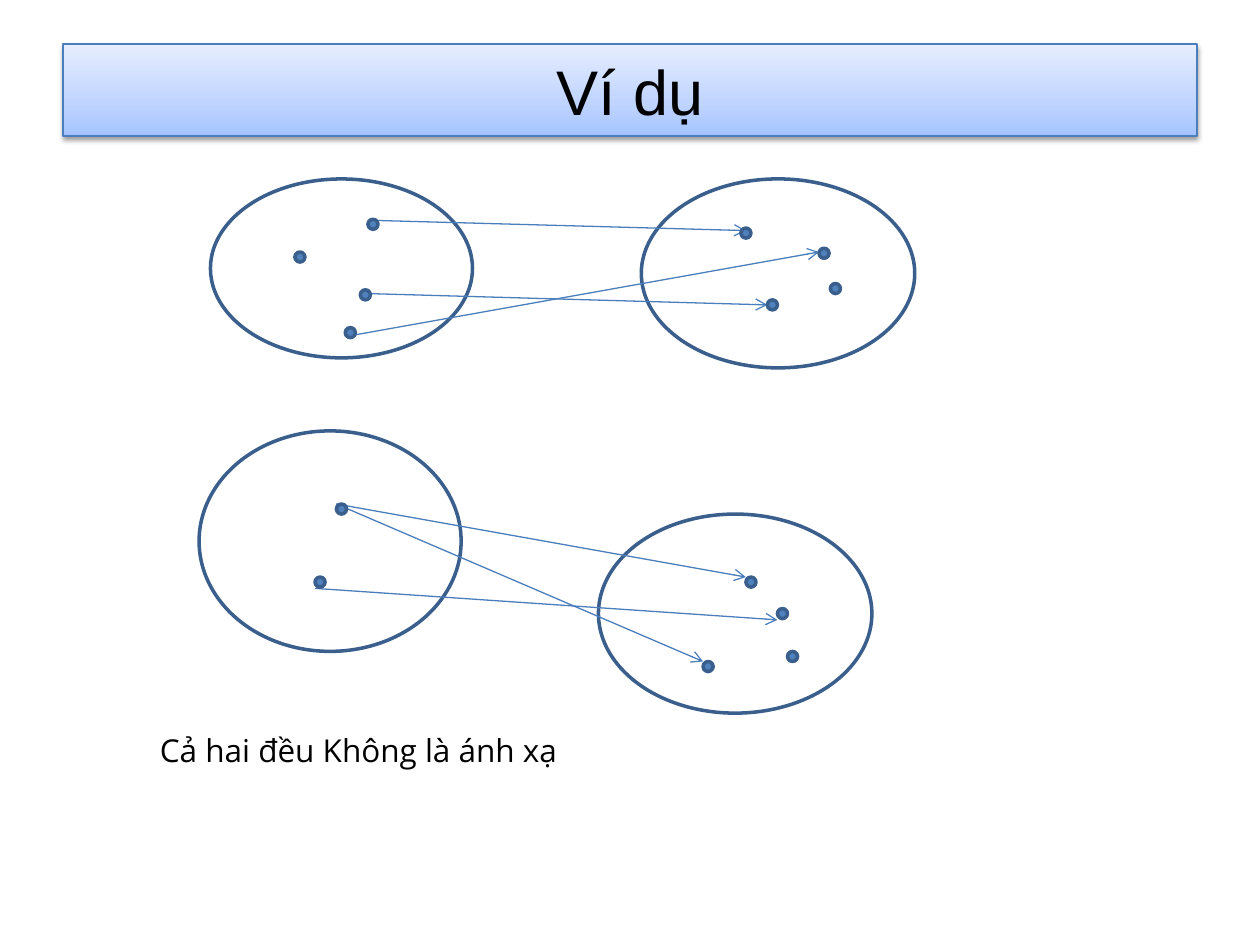
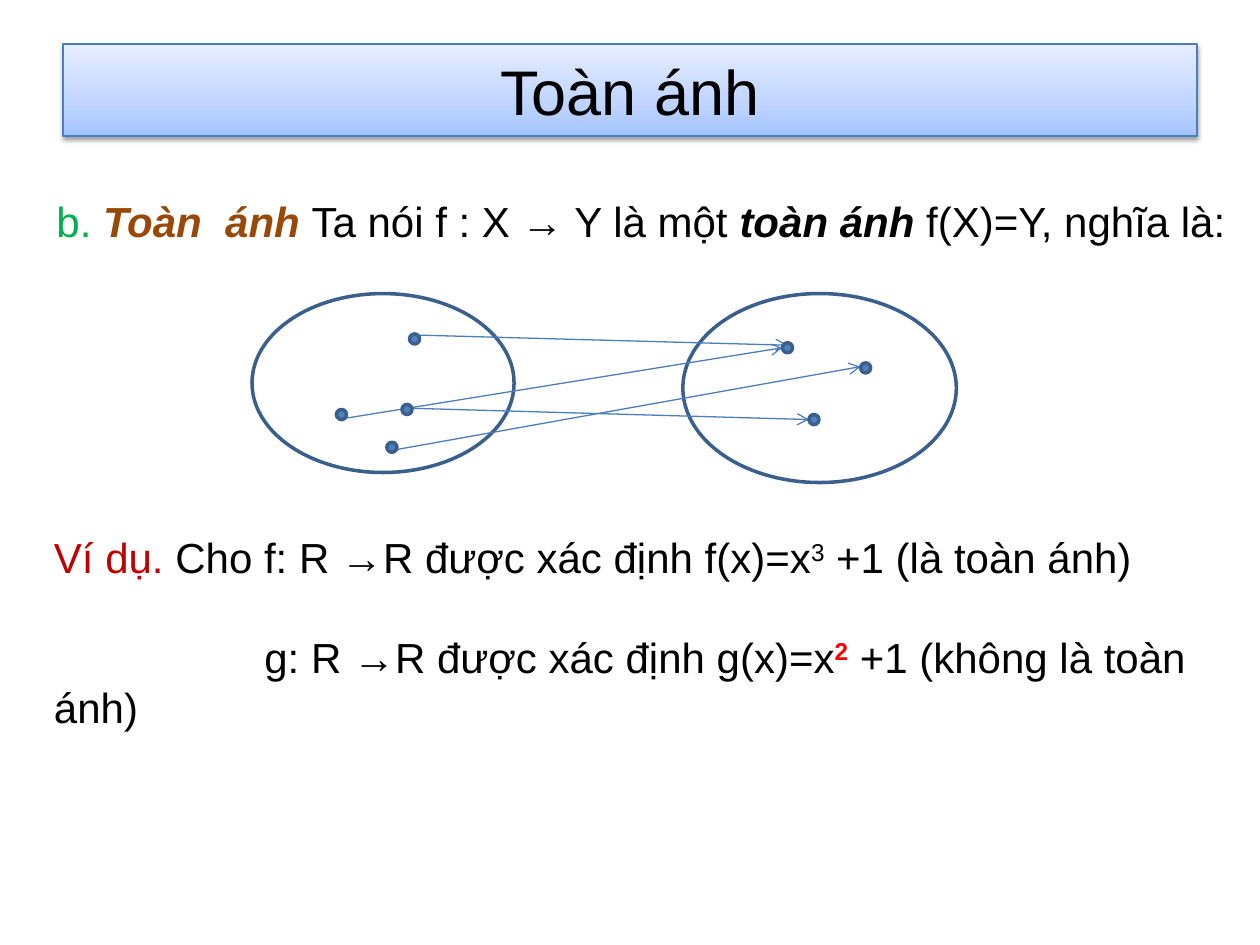
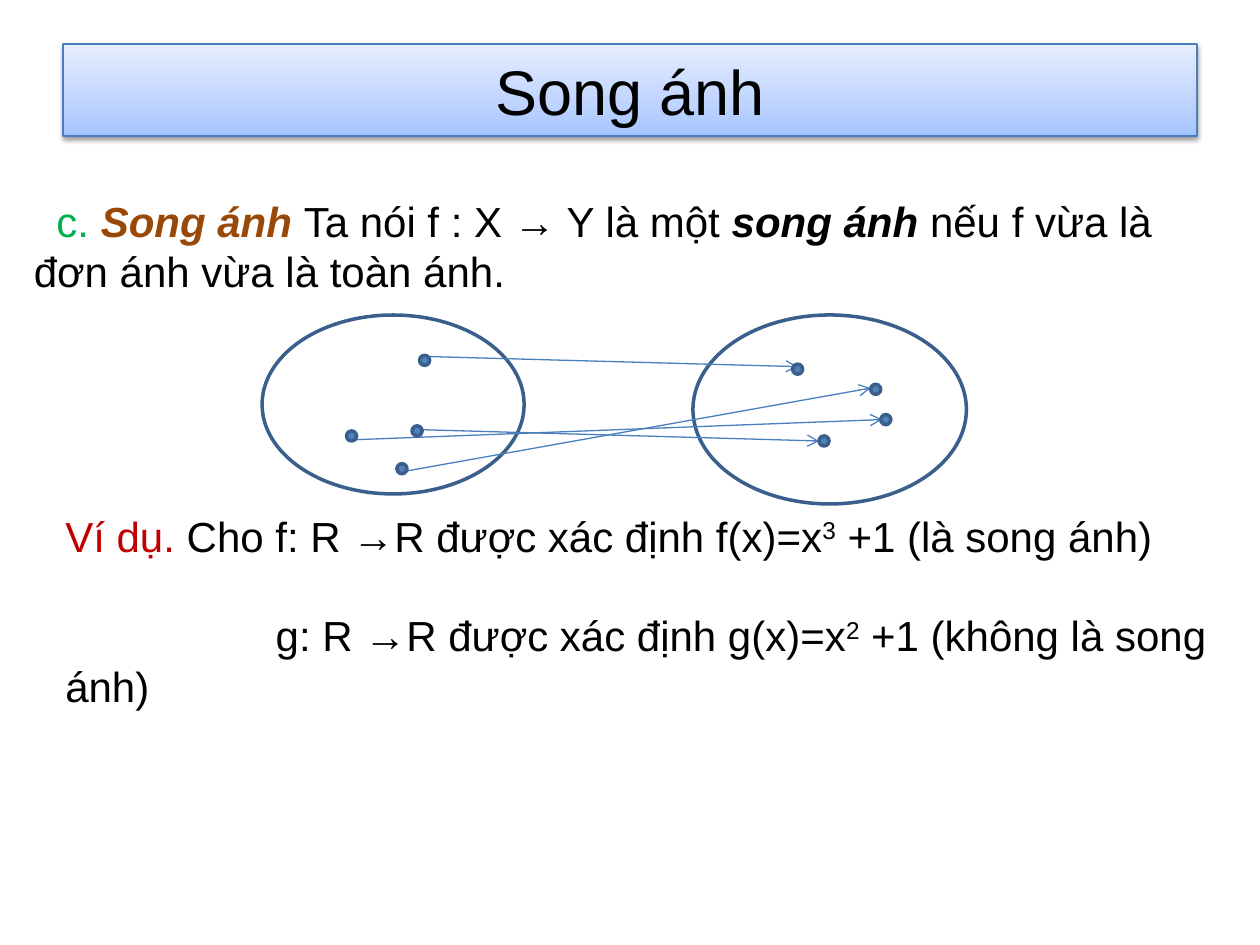
"""Build three slides on maps between sets, with arrow diagrams and worked examples."""
from dataclasses import dataclass
from typing import NamedTuple, Optional

from pptx import Presentation
from pptx.dml.color import RGBColor as RGB
from pptx.enum.shapes import MSO_CONNECTOR as LINK, MSO_SHAPE as SHAPE
from pptx.enum.text import MSO_ANCHOR as ANCHOR, MSO_AUTO_SIZE as AUTO, PP_ALIGN as ALIGN
from pptx.oxml import parse_xml
from pptx.oxml.ns import nsdecls, qn
from pptx.util import Inches, Pt


@dataclass(frozen=True)
class Theme:
    font: str = "Arial"
    plain: str = "Open Sans"
    title: int = 36
    body: int = 24
    note: int = 18
    black: str = "000000"
    white: str = "FFFFFF"
    green: str = "00B050"
    brown: str = "984807"
    crimson: str = "C00000"
    red: str = "FF0000"
    dot: str = "4F81BD"
    rim: str = "3A5F8C"
    edge: str = "4B7EBC"
    band: tuple = ((0, "A4C4FF"), (35, "BFD4FF"), (100, "E6EEFF"))
    thin: float = 0.75
    thick: float = 2
    raised: int = 30
    gap: int = 28


class Ring(NamedTuple):
    x: float
    y: float
    wide: float
    high: float


class Arrow(NamedTuple):
    x: float
    y: float
    to_x: float
    to_y: float


class Dot(NamedTuple):
    x: float
    y: float


@dataclass(frozen=True)
class Chart:
    rings: tuple
    arrows: tuple
    dots: tuple


LOOK = Theme()
DOT = 0.08
RINGS = (Ring(0, 0, 2.08, 1.42), Ring(3.42, 0, 2.17, 1.5))
ARROWS = (Arrow(1.33, 0.33, 4.25, 0.41), Arrow(1.25, 0.91, 4.42, 1), Arrow(1.08, 1.25, 4.83, 0.58))
DOTS = (Dot(1.19, 0.88), Dot(1.25, 0.32), Dot(1.07, 1.18),
        Dot(4.21, 0.39), Dot(4.83, 0.55), Dot(4.42, 0.96))
LOW = Dot(0.67, 0.92)

PARTIAL = Chart(RINGS, ARROWS, DOTS + (Dot(0.67, 0.58), Dot(4.92, 0.83)))
FORKED = Chart(
    (Ring(3.17, 0.66, 2.17, 1.58), Ring(0, 0, 2.08, 1.75)),
    (Arrow(1.09, 0.58, 4.34, 1.16), Arrow(1.09, 0.58, 4, 1.83), Arrow(0.92, 1.25, 4.59, 1.5)),
    (Dot(4.34, 1.16), Dot(4.59, 1.41), Dot(4, 1.83), Dot(1.09, 0.58), Dot(0.92, 1.16), Dot(4.67, 1.75)),
)
ONTO = Chart(RINGS, ARROWS + (Arrow(0.74, 0.99, 4.21, 0.43),), DOTS + (LOW,))
PAIRED = Chart(RINGS, ARROWS + (Arrow(0.74, 0.99, 4.92, 0.83),), DOTS + (LOW, Dot(4.91, 0.79)))


def write(para, text: str, *, size: int = LOOK.body, color: str = LOOK.black, font: str = LOOK.font,
          strong: bool = False, raised: bool = False, slant: bool = False) -> None:
    run = para.add_run()
    run.text = text
    run.font.size, run.font.name = Pt(size), font
    run.font.bold, run.font.italic = strong, slant
    run.font.color.rgb = RGB.from_string(color)
    if raised:
        run.font._element.set("baseline", str(LOOK.raised * 1000))


def add_box(slide, x: float, y: float, wide: float, high: float):
    frame = slide.shapes.add_textbox(Inches(x), Inches(y), Inches(wide), Inches(high)).text_frame
    frame.word_wrap, frame.auto_size = True, AUTO.SHAPE_TO_FIT_TEXT
    return frame


def indent(para, width: float) -> None:
    props = para._p.get_or_add_pPr()
    props.set("marL", "0")
    props.set("indent", str(Inches(width)))


def add_title(slide, text: str) -> None:
    band = slide.shapes.add_shape(SHAPE.RECTANGLE, Inches(0.5), Inches(0.35), Inches(9), Inches(0.73))
    band.line.color.rgb, band.line.width = RGB.from_string(LOOK.edge), Pt(LOOK.thin)
    band.fill.gradient()
    props = band._element.spPr
    stops = "".join(f'<a:gs pos="{at * 1000}"><a:srgbClr val="{color}"/></a:gs>' for at, color in LOOK.band)
    props.replace(props.find(qn("a:gradFill")), parse_xml(
        f'<a:gradFill {nsdecls("a")} rotWithShape="1"><a:gsLst>{stops}</a:gsLst>'
        '<a:lin ang="16200000" scaled="0"/></a:gradFill>'))
    props.append(parse_xml(
        f'<a:effectLst {nsdecls("a")}><a:outerShdw blurRad="{Pt(3.1)}" dist="{Pt(1.6)}" dir="5400000" '
        f'rotWithShape="0"><a:srgbClr val="{LOOK.black}"><a:alpha val="38000"/></a:srgbClr>'
        '</a:outerShdw></a:effectLst>'))
    frame = band.text_frame
    frame.word_wrap, frame.vertical_anchor = True, ANCHOR.MIDDLE
    frame.paragraphs[0].alignment = ALIGN.CENTER
    write(frame.paragraphs[0], text, size=LOOK.title)


def add_oval(shapes, x: float, y: float, wide: float, high: float, fill: str) -> None:
    oval = shapes.add_shape(SHAPE.OVAL, Inches(x), Inches(y), Inches(wide), Inches(high))
    oval.shadow.inherit = False
    oval.fill.solid()
    oval.fill.fore_color.rgb = RGB.from_string(fill)
    oval.line.color.rgb, oval.line.width = RGB.from_string(LOOK.rim), Pt(LOOK.thick)


def add_arrow(shapes, x: float, y: float, to_x: float, to_y: float) -> None:
    arrow = shapes.add_connector(LINK.STRAIGHT, Inches(x), Inches(y), Inches(to_x), Inches(to_y))
    arrow.line.color.rgb, arrow.line.width = RGB.from_string(LOOK.edge), Pt(LOOK.thin)
    arrow.line._get_or_add_ln().append(parse_xml(f'<a:tailEnd {nsdecls("a")} type="arrow"/>'))
    arrow._element.spPr.append(parse_xml(f'<a:effectLst {nsdecls("a")}/>'))


def add_chart(slide, x: float, y: float, chart: Chart) -> None:
    shapes = slide.shapes.add_group_shape().shapes
    for ring in chart.rings:
        add_oval(shapes, x + ring.x, y + ring.y, ring.wide, ring.high, LOOK.white)
    for arrow in chart.arrows:
        add_arrow(shapes, x + arrow.x, y + arrow.y, x + arrow.to_x, y + arrow.to_y)
    for dot in chart.dots:
        add_oval(shapes, x + dot.x, y + dot.y, DOT, DOT, LOOK.dot)


def add_meaning(slide, high: float, mark: str, head: str, term: str, rest: str) -> None:
    para = add_box(slide, 0.17, 1.5, 9.67, high).paragraphs[0]
    indent(para, 0.18)
    write(para, f"{mark}. ", color=LOOK.green)
    write(para, f"{head} ", color=LOOK.brown, strong=True, slant=True)
    write(para, "Ta nói f : X → Y là một ")
    write(para, term, strong=True, slant=True)
    write(para, f" {rest}")


def add_sample(slide, x: float, y: float, wide: float, term: str, accent: Optional[str] = None) -> None:
    frame = add_box(slide, x, y, wide, 1.72)
    first, second = frame.paragraphs[0], frame.add_paragraph()
    write(first, "Ví dụ. ", color=LOOK.crimson)
    write(first, "Cho f: R →R được xác định f(x)=x")
    write(first, "3", raised=True)
    write(first, f" +1 (là {term})")
    second.space_before = Pt(LOOK.gap)
    indent(second, 1.67)
    write(second, "g: R →R được xác định g(x)=x")
    write(second, "2", raised=True, strong=bool(accent), color=accent or LOOK.black)
    write(second, f" +1 (không là {term})")


def add_slide(deck, title: str):
    slide = deck.slides.add_slide(deck.slide_layouts[6])
    add_title(slide, title)
    return slide


def main() -> None:
    deck = Presentation()
    deck.slide_width, deck.slide_height = Inches(10), Inches(7.5)

    slide = add_slide(deck, "Ví dụ")
    note = add_box(slide, 1.17, 5.75, 4.75, 0.4)
    write(note.paragraphs[0], "Cả hai đều Không là ánh xạ", size=LOOK.note, font=LOOK.plain)
    add_chart(slide, 1.67, 1.42, PARTIAL)
    add_chart(slide, 1.58, 3.42, FORKED)

    slide = add_slide(deck, "Toàn ánh")
    add_meaning(slide, 0.51, "b", "Toàn  ánh", "toàn ánh", "f(X)=Y, nghĩa là:")
    add_chart(slide, 2, 2.33, ONTO)
    add_sample(slide, 0.33, 4.17, 9.42, "toàn ánh", accent=LOOK.red)

    slide = add_slide(deck, "Song ánh")
    add_meaning(slide, 0.91, "c", "Song ánh", "song ánh", "nếu f vừa là đơn ánh vừa là toàn ánh.")
    add_sample(slide, 0.42, 4, 9.33, "song ánh")
    add_chart(slide, 2.08, 2.5, PAIRED)

    deck.save("out.pptx")


main()
